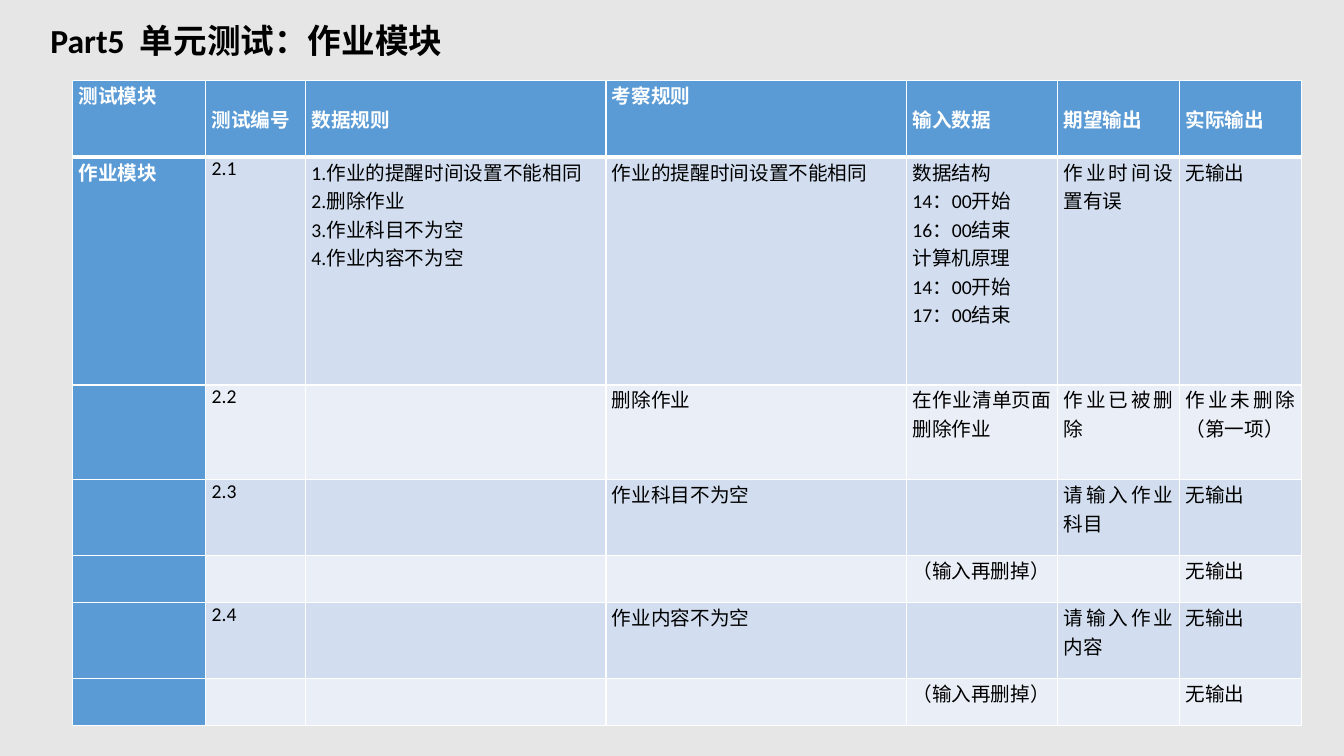
from dataclasses import dataclass

from lxml import etree
from pptx import Presentation
from pptx import util as u
from pptx.dml.color import RGBColor
from pptx.enum import text
from pptx.oxml import ns


@dataclass(frozen=True)
class Theme:
    """Colours, fonts and type sizes of the slide."""
    background: str = "E6E6E6"
    accent: str = "5B9BD5"
    bands: tuple = ("D2DEEF", "EAEFF7")
    white: str = "FFFFFF"
    black: str = "000000"
    font: str = "Calibri"
    output_font: str = "Times New Roman"
    title_size: int = 24
    table_size: int = 14
    thin: int = 1
    thick: int = 3


THEME = Theme()
TITLE_BOX = (0.4, 0.15, 11.95, 0.51)
TABLE_BOX = (0.72, 0.8, 12.2, 6.4)
COLUMN_WIDTHS = (1.32, 0.99, 2.98, 2.98, 1.5, 1.21, 1.21)
ROW_HEIGHTS = (0.76, 2.26, 0.94, 0.75, 0.47, 0.75, 0.47)
TOP_HEADINGS = ("测试模块", "考察规则")
OUTPUT_COLUMN = len(COLUMN_WIDTHS) - 1
NO_OUTPUT = "无输出"
RULES = "1.作业的提醒时间设置不能相同\n2.删除作业\n3.作业科目不为空\n4.作业内容不为空"
SCHEDULE = "数据结构\n14：00开始\n16：00结束\n计算机原理\n14：00开始\n17：00结束"
RETYPED = ("", "", "", "", "（输入再删掉）", "", NO_OUTPUT)
TEST_ROWS = (
    ("测试模块", "测试编号", "数据规则", "考察规则", "输入数据", "期望输出", "实际输出"),
    ("作业模块", "2.1", RULES, "作业的提醒时间设置不能相同", SCHEDULE, "作业时间设置有误", NO_OUTPUT),
    ("", "2.2", "", "删除作业", "在作业清单页面删除作业", "作业已被删除", "作业未删除（第一项）"),
    ("", "2.3", "", "作业科目不为空", "", "请输入作业科目", NO_OUTPUT),
    RETYPED,
    ("", "2.4", "", "作业内容不为空", "", "请输入作业内容", NO_OUTPUT),
    RETYPED,
)


def apply_format(target, values):
    """Set each attribute of target from a dict of format values."""
    for name, value in values.items():
        setattr(target, name, value)


def paint(fill, color):
    """Give a fill one solid colour."""
    fill.solid()
    fill.fore_color.rgb = RGBColor.from_string(color)


def write_text(frame, content, size, color, bold, font, align):
    """Write one paragraph per line of content in a single style."""
    frame.text = content
    for paragraph in frame.paragraphs:
        paragraph.alignment = align
        for run in paragraph.runs:
            apply_format(run.font, {"name": font, "size": u.Pt(size), "bold": bold})
            run.font.color.rgb = RGBColor.from_string(color)


def set_borders(cell, widths):
    """Draw white cell borders with the given point width for each side."""
    properties = cell._tc.get_or_add_tcPr()
    for position, (side, width) in enumerate(widths.items()):
        line = etree.Element(ns.qn(f"a:ln{side}"), w=str(u.Pt(width)))
        solid = etree.SubElement(line, ns.qn("a:solidFill"))
        etree.SubElement(solid, ns.qn("a:srgbClr"), val=THEME.white)
        properties.insert(position, line)


def add_title(slide, box):
    """Place the slide heading in its box."""
    shape = slide.shapes.add_textbox(*map(u.Inches, box))
    apply_format(shape.text_frame, {
        "word_wrap": True, "auto_size": text.MSO_AUTO_SIZE.SHAPE_TO_FIT_TEXT})
    write_text(shape.text_frame, "Part5  单元测试：作业模块", THEME.title_size,
               THEME.black, True, THEME.font, text.PP_ALIGN.LEFT)


def format_cell(cell, row, column, content):
    """Style one table cell by its role as heading, module or test value."""
    heading = row == 0
    strong = heading or column == 0
    centred = heading and content not in TOP_HEADINGS
    apply_format(cell, {
        "margin_left": u.Inches(0.06), "margin_right": u.Inches(0.06),
        "margin_top": 0, "margin_bottom": 0,
        "vertical_anchor": text.MSO_ANCHOR.MIDDLE if centred else text.MSO_ANCHOR.TOP})
    paint(cell.fill, THEME.accent if strong else THEME.bands[(row - 1) % 2])
    set_borders(cell, {
        "L": THEME.thin, "R": THEME.thin,
        "T": THEME.thick if row == 1 else THEME.thin,
        "B": THEME.thick if heading else THEME.thin})
    plain_output = column == OUTPUT_COLUMN and content == NO_OUTPUT
    write_text(cell.text_frame, content, THEME.table_size,
               THEME.white if strong else THEME.black, strong,
               THEME.output_font if plain_output else THEME.font,
               text.PP_ALIGN.LEFT if heading and column < 2 else text.PP_ALIGN.JUSTIFY)


def add_test_table(slide, box):
    """Place the table of unit tests in its box."""
    frame = slide.shapes.add_table(len(ROW_HEIGHTS), len(COLUMN_WIDTHS), *map(u.Inches, box))
    table = frame.table
    for column, width in zip(table.columns, COLUMN_WIDTHS):
        column.width = u.Inches(width)
    for row, height in zip(table.rows, ROW_HEIGHTS):
        row.height = u.Inches(height)
    for row, contents in enumerate(TEST_ROWS):
        for column, content in enumerate(contents):
            format_cell(table.cell(row, column), row, column, content)


def main():
    """Build and save the unit test slide."""
    presentation = Presentation()
    apply_format(presentation, {
        "slide_width": u.Inches(13.33), "slide_height": u.Inches(7.5)})
    slide = presentation.slides.add_slide(presentation.slide_layouts[6])
    paint(slide.background.fill, THEME.background)
    add_title(slide, TITLE_BOX)
    add_test_table(slide, TABLE_BOX)
    presentation.save("out.pptx")


if __name__ == "__main__":
    main()
